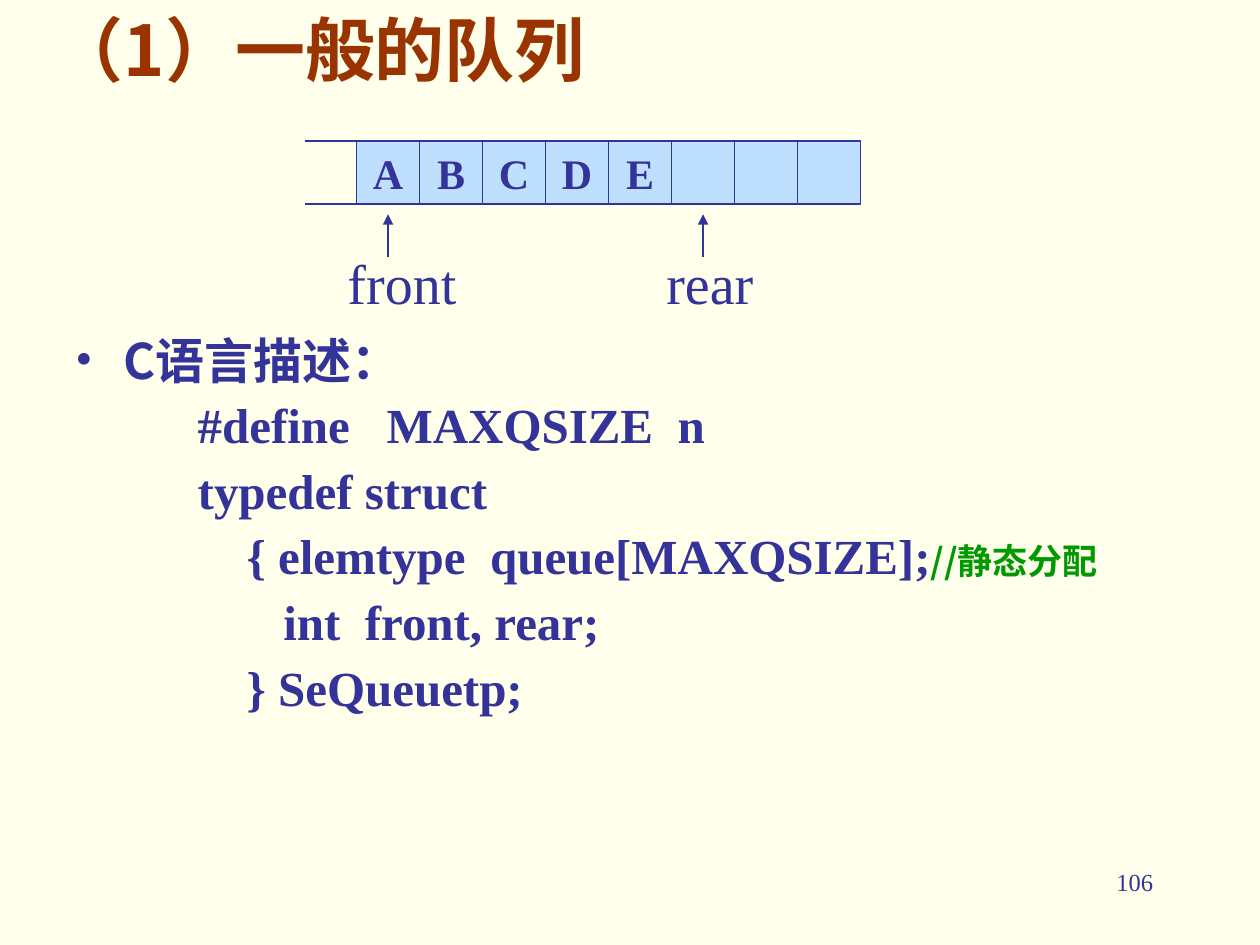
from pptx import Presentation
from pptx.dml.color import RGBColor
from pptx.enum.shapes import MSO_CONNECTOR, MSO_SHAPE
from pptx.enum.text import MSO_ANCHOR, PP_ALIGN
from pptx.oxml.ns import qn
from pptx.util import Inches, Pt
from lxml import etree

LINE, RECT = MSO_CONNECTOR.STRAIGHT, MSO_SHAPE.RECTANGLE
LEFT, CENTER, RIGHT = PP_ALIGN.LEFT, PP_ALIGN.CENTER, PP_ALIGN.RIGHT
MIDDLE = MSO_ANCHOR.MIDDLE

CREAM = RGBColor(0xFF, 0xFF, 0xEB)
INDIGO = RGBColor(0x33, 0x33, 0x99)
SKY = RGBColor(0xBE, 0xE0, 0xFE)
RUST = RGBColor(0x99, 0x33, 0x00)
GREEN = RGBColor(0x00, 0x99, 0x00)
SERIF, CJK = "Times New Roman", "Noto Sans CJK SC"

# Content
TITLE = "（1）一般的队列"
HEADING = "C语言描述："
CODE = [
    ("          #define   MAXQSIZE  n", ""),
    ("          typedef struct", ""),
    ("              { elemtype  queue[MAXQSIZE];", "//静态分配"),
    ("                 int  front, rear;", ""),
    ("              } SeQueuetp;", ""),
]
QUEUE = ["A", "B", "C", "D", "E", "", "", ""]
POINTERS = [("front", 0, 2.66), ("rear", 5, 5.19)]  # label, cell index, label left
PAGE = "106"

# Queue geometry in inches
CELL, QUEUE_X, QUEUE_Y, STUB_X = 0.5, 2.83, 1.12, 2.42
ARROW_TOP, ARROW_BOTTOM, LABEL_Y = 1.7, 2.04, 1.92


def add_text(p, text, size=28, font=SERIF, color=INDIGO, bold=False, align=LEFT):
    p.alignment = align
    r = p.add_run()
    r.text = text
    r.font.size, r.font.name, r.font.bold = Pt(size), font, bold
    r.font.color.rgb = color
    etree.SubElement(r._r.rPr, qn("a:ea"), typeface=font)


def add_box(x, y, w, h):
    tf = s.shapes.add_textbox(Inches(x), Inches(y), Inches(w), Inches(h)).text_frame
    tf.word_wrap = True
    return tf


def add_line(x1, y1, x2, y2, arrow=False):
    c = s.shapes.add_connector(LINE, Inches(x1), Inches(y1), Inches(x2), Inches(y2))
    c.line.color.rgb, c.line.width = INDIGO, Pt(0.75)
    spPr = c._element.spPr
    if arrow:
        etree.SubElement(spPr.find(qn("a:ln")), qn("a:tailEnd"), type="triangle")
    etree.SubElement(spPr, qn("a:effectLst"))


def hang(p, bullet=None):
    pPr = p._p.get_or_add_pPr()
    pPr.set("marL", str(Inches(0.38)))
    pPr.set("indent", str(-Inches(0.38)))
    if bullet:
        etree.SubElement(pPr, qn("a:buFont"), typeface=SERIF)
        etree.SubElement(pPr, qn("a:buChar"), char=bullet)
    else:
        etree.SubElement(pPr, qn("a:buNone"))


prs = Presentation()
prs.slide_width, prs.slide_height = Inches(10), Inches(7.5)
s = prs.slides.add_slide(prs.slide_layouts[6])
s.background.fill.solid()
s.background.fill.fore_color.rgb = CREAM

# Page number
add_text(add_box(7.17, 6.83, 2.08, 0.5).paragraphs[0], PAGE, size=14, align=RIGHT)

# Heading and code listing
tf = add_box(0.5, 2.57, 8.98, 3.92)
p = tf.paragraphs[0]
hang(p, "•")
add_text(p, HEADING, font=CJK, bold=True)
for code, comment in CODE:
    p = tf.add_paragraph()
    hang(p)
    p.line_spacing, p.space_before = 0.95, Pt(5.6)
    add_text(p, code, bold=True)
    if comment:
        add_text(p, comment, size=20, font=CJK, color=GREEN, bold=True)

# Queue cells
for i, item in enumerate(QUEUE):
    sp = s.shapes.add_shape(RECT, Inches(QUEUE_X + i * CELL), Inches(QUEUE_Y),
                            Inches(CELL), Inches(CELL))
    sp.shadow.inherit = False
    sp.fill.solid()
    sp.fill.fore_color.rgb = SKY
    sp.line.color.rgb, sp.line.width = INDIGO, Pt(0.75)
    if item:
        tf = sp.text_frame
        tf.word_wrap, tf.vertical_anchor = False, MIDDLE
        add_text(tf.paragraphs[0], item, size=24, bold=True, align=CENTER)

# Open end of the queue
for y in (QUEUE_Y, QUEUE_Y + CELL):
    add_line(QUEUE_X, y, STUB_X, y)

# Front and rear pointers
for label, cell, left in POINTERS:
    x = QUEUE_X + (cell + 0.5) * CELL
    add_line(x, ARROW_BOTTOM, x, ARROW_TOP, arrow=True)
    add_text(add_box(left, LABEL_Y, 1.4, 0.63).paragraphs[0], label, size=32)

# Title
add_text(add_box(0.33, 0, 6.25, 0.77).paragraphs[0], TITLE,
         size=40, font=CJK, color=RUST, bold=True)

prs.save("out.pptx")
